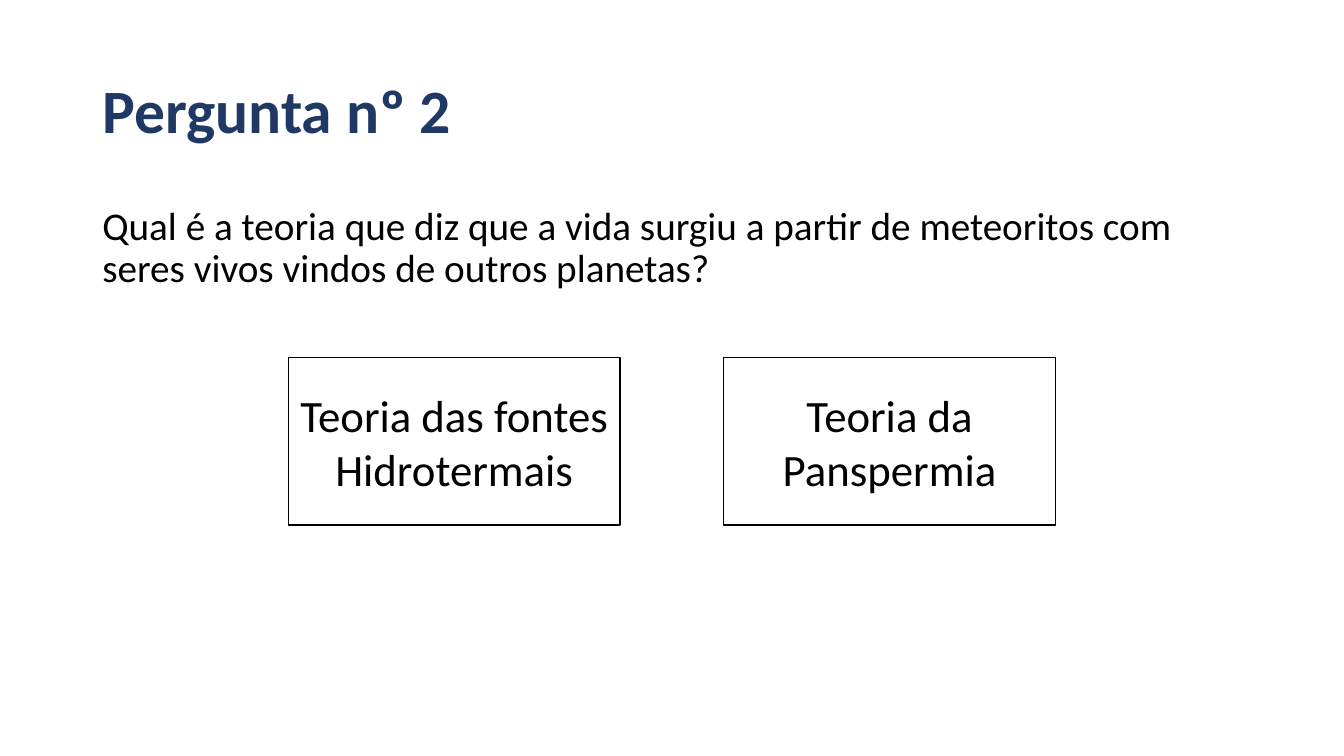
from dataclasses import dataclass

from pptx import Presentation
from pptx.dml.color import RGBColor
from pptx.enum.shapes import MSO_SHAPE as Shape
from pptx.enum.text import MSO_ANCHOR as Anchor, PP_ALIGN as Align
from pptx.util import Cm, Pt


@dataclass(frozen=True)
class Theme:
    font: str = "Calibri"
    navy: RGBColor = RGBColor(0x20, 0x38, 0x64)
    black: RGBColor = RGBColor(0, 0, 0)
    title_size: int = 44
    question_size: int = 28
    answer_size: int = 32
    outline: int = 1


class QuizSlide:
    def __init__(self, prs, theme):
        self.theme = theme
        self.s = prs.slides.add_slide(prs.slide_layouts[6])

    def fill_text(self, tf, lines, size, color, bold=False, align=Align.LEFT, spacing=1.0, before=0):
        tf.word_wrap = True
        for i, line in enumerate(lines):
            p = tf.add_paragraph() if i else tf.paragraphs[0]
            p.text = line
            p.alignment = align
            p.line_spacing = spacing
            p.space_before = Pt(before)
            p.font.name = self.theme.font
            p.font.size = Pt(size)
            p.font.bold = bold
            p.font.color.rgb = color

    def text(self, box, text, size, color, anchor=Anchor.TOP, bold=False, before=0):
        tf = self.s.shapes.add_textbox(*map(Cm, box)).text_frame
        tf.vertical_anchor = anchor
        self.fill_text(tf, [text], size, color, bold, spacing=0.9, before=before)

    def answer(self, box, lines):
        t = self.theme
        sp = self.s.shapes.add_shape(Shape.ACTION_BUTTON_CUSTOM, *map(Cm, box))
        sp.shadow.inherit = False
        sp.fill.background()
        sp.line.color.rgb = t.black
        sp.line.width = Pt(t.outline)
        sp.text_frame.vertical_anchor = Anchor.MIDDLE
        self.fill_text(sp.text_frame, lines, t.answer_size, t.black, align=Align.CENTER)


def main():
    prs = Presentation()
    prs.slide_width, prs.slide_height = Cm(33.87), Cm(19.05)
    theme = Theme()
    quiz = QuizSlide(prs, theme)

    left, width = 2.33, 29.21
    quiz.text((left, 1.01, width, 3.68), "Pergunta nº 2",
              theme.title_size, theme.navy, Anchor.MIDDLE, bold=True)
    quiz.text((left, 5.07, width, 12.09),
              "Qual é a teoria que diz que a vida surgiu a partir de meteoritos com "
              "seres vivos vindos de outros planetas?",
              theme.question_size, theme.black, before=10)

    answers = [("Teoria das fontes", "Hidrotermais"), ("Teoria da", "Panspermia")]
    first, pitch = 7.27, 10.97
    for i, lines in enumerate(answers):
        quiz.answer((first + i * pitch, 9.01, 8.36, 4.22), lines)

    prs.save("out.pptx")


if __name__ == "__main__":
    main()
